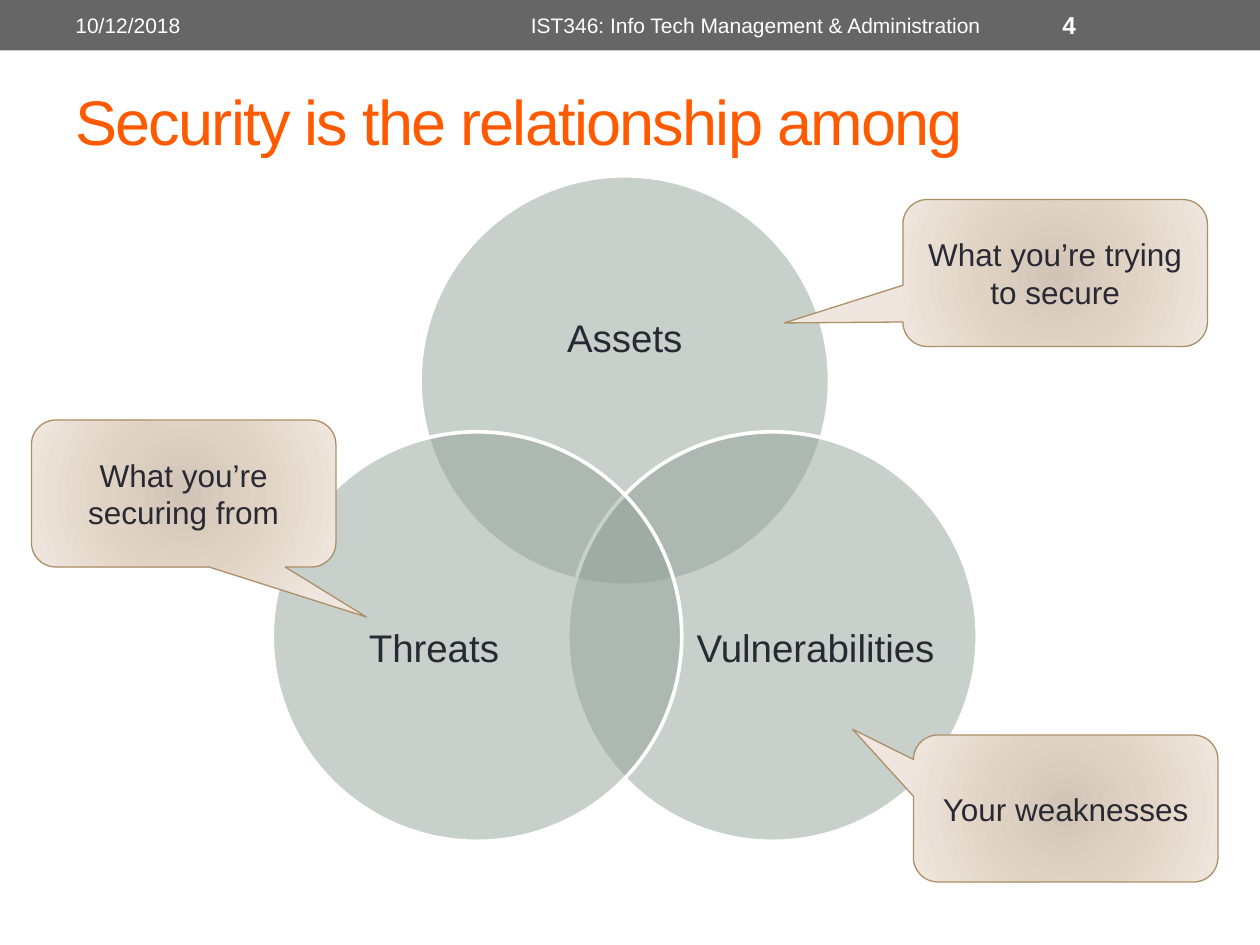
from dataclasses import dataclass
from math import cos, radians, sin

from lxml.etree import SubElement
from pptx import Presentation
from pptx.dml.color import RGBColor
from pptx.enum.shapes import MSO_SHAPE
from pptx.enum.text import MSO_ANCHOR, PP_ALIGN
from pptx.oxml import parse_xml
from pptx.oxml.ns import nsdecls, qn
from pptx.shapes.autoshape import Shape
from pptx.util import Inches, Pt

WHITE = RGBColor(0xFF, 0xFF, 0xFF)
GRAY = RGBColor(0x66, 0x66, 0x66)
ORANGE = RGBColor(0xFF, 0x5A, 0x00)
INK = RGBColor(0x29, 0x29, 0x34)
SAGE = RGBColor(0x93, 0xA2, 0x99)
BRONZE = RGBColor(0xAD, 0x8F, 0x67)
SAND_STOPS = (
    (0, RGBColor(0xD1, 0xC4, 0xB6)),
    (45, RGBColor(0xE1, 0xD3, 0xC4)),
    (100, RGBColor(0xEF, 0xE7, 0xDF)),
)

# The page is a grid of 120 columns by 90 rows, twelve cells to the inch.
COLUMNS, ROWS = 120, 90
CELLS_PER_INCH = 12
VENN_CENTER = (59.5, 52.5)
DIAMETER = 39
ORBIT = DIAMETER * 5 / 12
CALLOUT_SIZE = (29, 14)


@dataclass(frozen=True)
class VennSet:
    name: str
    angle: float
    label_shift: tuple[float, float]
    label_size: tuple[float, float]


@dataclass(frozen=True)
class Callout:
    text: str
    column: float
    row: float
    tip: tuple[float, float]


@dataclass(frozen=True)
class HeaderItem:
    text: str
    column: float
    width: float
    size: int = 12
    align: PP_ALIGN = PP_ALIGN.LEFT
    bold: bool = False


VENN_SETS = (
    VennSet("Assets", -90, (0, -3.9), (28.5, 17.5)),
    VennSet("Vulnerabilities", 30, (4.1, 1.3), (23.4, 21.5)),
    VennSet("Threats", 150, (-4.1, 1.3), (23.4, 21.5)),
)
CALLOUTS = (
    Callout("What you’re trying to secure", 86, 19, (-0.89, 0.34)),
    Callout("Your weaknesses", 87, 70, (-0.7, -0.54)),
    Callout("What you’re securing from", 3, 40, (0.6, 0.84)),
)
HEADER_ITEMS = (
    HeaderItem("10/12/2018", 6, 38),
    HeaderItem("IST346: Info Tech Management & Administration", 45, 54,
               align=PP_ALIGN.CENTER),
    HeaderItem("4", 100, 14, size=14, bold=True),
)


def cells(*counts: float) -> list[int]:
    return [Inches(count / CELLS_PER_INCH) for count in counts]


def centered(x: float, y: float, width: float, height: float) -> list[int]:
    """Turn a centre point and a size into left, top, width and height."""
    return cells(x - width / 2, y - height / 2, width, height)


def write(box: Shape, text: str, size: int, color: RGBColor,
          align: PP_ALIGN = PP_ALIGN.LEFT, bold: bool = False):
    frame = box.text_frame
    frame.word_wrap = True
    frame.vertical_anchor = MSO_ANCHOR.MIDDLE
    para = frame.paragraphs[0]
    para.text = text
    para.alignment = align
    para.font.name = "Arial"
    para.font.size = Pt(size)
    para.font.bold = bold
    para.font.color.rgb = color
    return para


def fill_solid(shape: Shape, color: RGBColor) -> None:
    shape.shadow.inherit = False
    shape.fill.solid()
    shape.fill.fore_color.rgb = color


def fill_sand(shape: Shape) -> None:
    """Fill with a circular gradient, darkest in the middle."""
    stops = "".join(
        f'<a:gs pos="{share * 1000}"><a:srgbClr val="{color}"/></a:gs>'
        for share, color in SAND_STOPS)
    gradient = parse_xml(
        f'<a:gradFill {nsdecls("a")} rotWithShape="1"><a:gsLst>{stops}</a:gsLst>'
        '<a:path path="circle"><a:fillToRect l="100000" t="100000" '
        'r="100000" b="100000"/></a:path></a:gradFill>')
    shape._element.spPr.find(qn("a:prstGeom")).addnext(gradient)


def draw_header(page) -> None:
    band = page.shapes.add_shape(MSO_SHAPE.RECTANGLE, *cells(0, 0, COLUMNS, 4.8))
    fill_solid(band, GRAY)
    band.line.fill.background()
    for item in HEADER_ITEMS:
        box = page.shapes.add_textbox(*cells(item.column, 0.25, item.width, 4.3))
        write(box, item.text, item.size, WHITE, item.align, item.bold)


def draw_title(page) -> None:
    box = page.shapes.add_textbox(*cells(6, 7, 108, 9))
    para = write(box, "Security is the relationship among", 36, ORANGE)
    para.runs[0].font._element.set("spc", "-100")


def draw_venn_set(group, venn_set: VennSet) -> None:
    angle = radians(venn_set.angle)
    x = VENN_CENTER[0] + ORBIT * cos(angle)
    y = VENN_CENTER[1] + ORBIT * sin(angle)
    circle = group.shapes.add_shape(
        MSO_SHAPE.OVAL, *centered(x, y, DIAMETER, DIAMETER))
    fill_solid(circle, SAGE)
    tint = circle._element.spPr.find(qn("a:solidFill")).find(qn("a:srgbClr"))
    SubElement(tint, qn("a:alpha"), val="50000")
    circle.line.color.rgb = WHITE
    circle.line.width = Pt(2.08)

    shift_x, shift_y = venn_set.label_shift
    label = group.shapes.add_textbox(
        *centered(x + shift_x, y + shift_y, *venn_set.label_size))
    frame = label.text_frame
    frame.margin_left = frame.margin_right = 0
    frame.margin_top = frame.margin_bottom = 0
    para = write(label, venn_set.name, 22, INK, PP_ALIGN.CENTER)
    para.line_spacing = 0.9


def draw_callout(page, callout: Callout) -> None:
    bubble = page.shapes.add_shape(
        MSO_SHAPE.ROUNDED_RECTANGULAR_CALLOUT,
        *cells(callout.column, callout.row, *CALLOUT_SIZE))
    bubble.adjustments[0], bubble.adjustments[1] = callout.tip
    bubble.shadow.inherit = False
    fill_sand(bubble)
    bubble.line.color.rgb = BRONZE
    bubble.line.width = Pt(0.75)
    write(bubble, callout.text, 18, INK, PP_ALIGN.CENTER)


def main() -> None:
    deck = Presentation()
    deck.slide_width, deck.slide_height = cells(COLUMNS, ROWS)
    page = deck.slides.add_slide(deck.slide_layouts[6])
    draw_header(page)
    draw_title(page)
    venn = page.shapes.add_group_shape()
    for venn_set in VENN_SETS:
        draw_venn_set(venn, venn_set)
    for callout in CALLOUTS:
        draw_callout(page, callout)
    deck.save("out.pptx")


if __name__ == "__main__":
    main()
